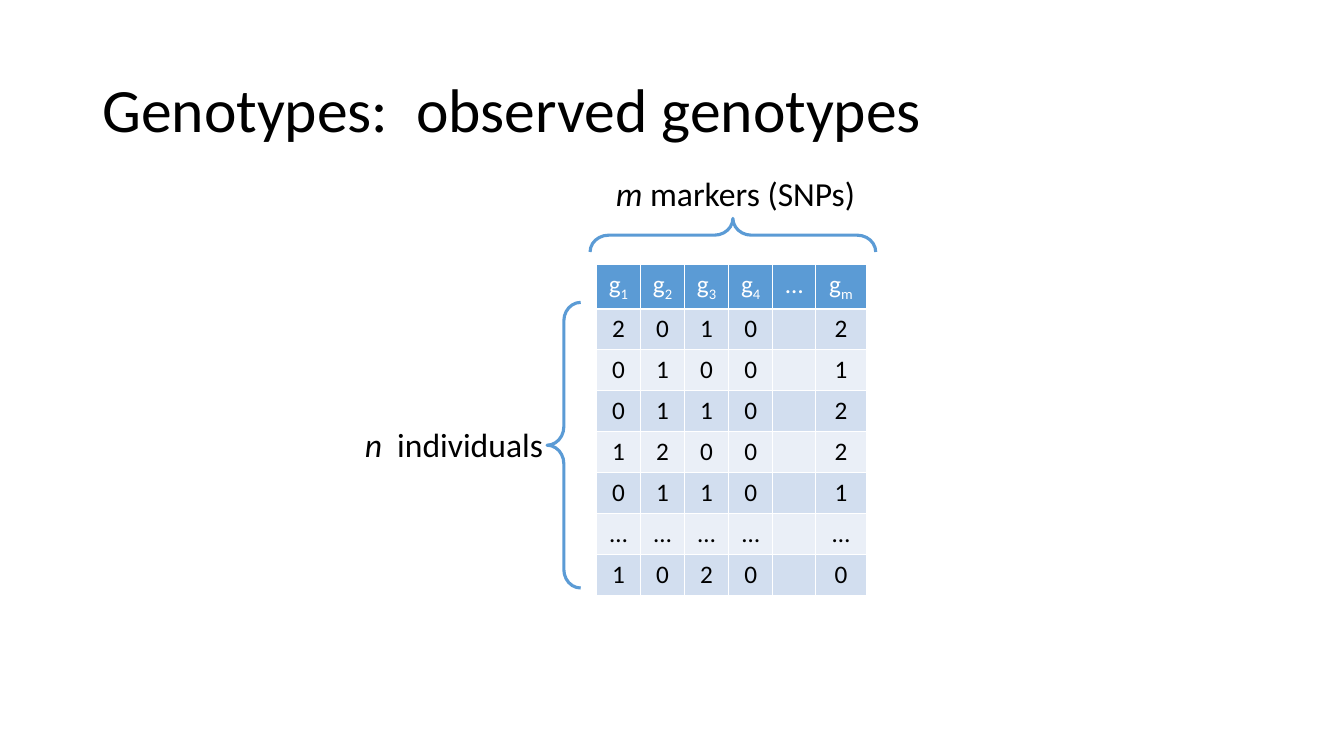
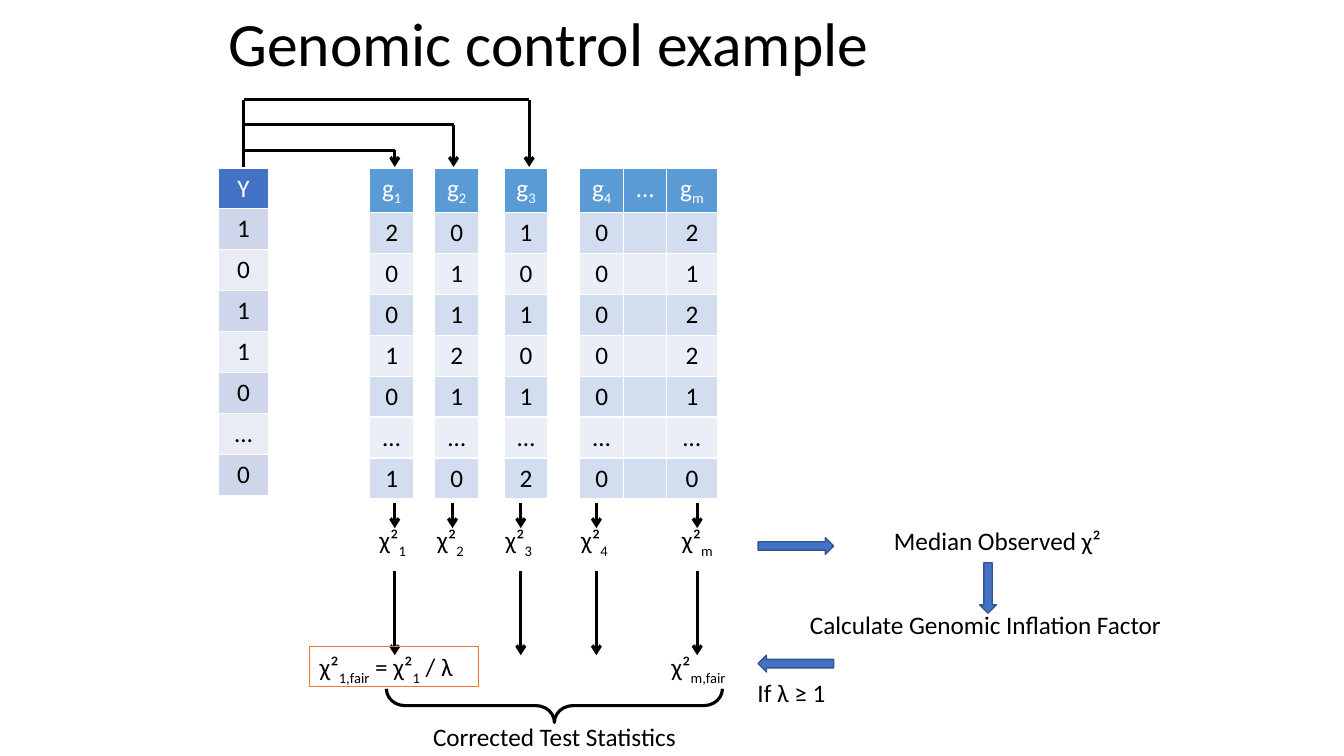
"""Build two slides on genotype tables and genomic control."""
from lxml.etree import SubElement
from pptx import Presentation
from pptx.dml.color import RGBColor
from pptx.enum.shapes import MSO_CONNECTOR as LINK, MSO_SHAPE as SHAPE
from pptx.enum.text import MSO_ANCHOR as ANCHOR, MSO_AUTO_SIZE as FIT, PP_ALIGN as ALIGN
from pptx.oxml.ns import qn
from pptx.util import Pt

PX = 9525
FONT = "Calibri"
BLACK, WHITE = "000000", "FFFFFF"
SKY, BLUE, NAVY, ORANGE = "5B9BD5", "4472C4", "325491", "ED7D31"
SKY_BANDS = (SKY, "D2DEEF", "EAEFF7")
BLUE_BANDS = (BLUE, "CFD5EA", "E9EBF5")
ROW = 39
color = RGBColor.from_string


def write(frame, text, size=18, ink=BLACK, align=ALIGN.LEFT, slant=False):
    """Fill a frame; every second part between bars is a subscript or slanted."""
    para = frame.paragraphs[0]
    para.alignment = align
    for i, part in enumerate(text.split("|")):
        if not part:
            continue
        run = para.add_run()
        run.text = part
        font = run.font
        font.name, font.size, font.bold = FONT, Pt(size), False
        font.color.rgb = color(ink)
        if i % 2 and slant:
            font.italic = True
        elif i % 2:
            run._r.get_or_add_rPr().set("baseline", "-25000")


def label(page, area, text, **look):
    """Add a text box that fits its single line."""
    box = page.shapes.add_textbox(*[n * PX for n in area])
    frame = box.text_frame
    frame.word_wrap = False
    frame.auto_size = FIT.SHAPE_TO_FIT_TEXT
    write(frame, text, **look)
    return box


deck = Presentation()
deck.slide_width, deck.slide_height = 1280 * PX, 720 * PX
first, second = [deck.slides.add_slide(deck.slide_layouts[6]) for _ in range(2)]

titles = [
    (first, (88, 38, 1104, 139), "Genotypes:  observed genotypes"),
    (second, (208, 0, 864, 88), "Genomic control example"),
]
for page, area, text in titles:
    frame = label(page, area, text, size=44).text_frame
    frame.word_wrap = True
    frame.auto_size = FIT.NONE
    frame.vertical_anchor = ANCHOR.MIDDLE
    frame.paragraphs[0].line_spacing = 0.9

trait = [("Y", "10110…0", 48)]
genes = [
    ("g|1", "20010…1", 42),
    ("g|2", "01121…0", 42),
    ("g|3", "10101…2", 42),
    ("g|4", "00000…0", 42),
    ("…", [""] * 7, 41),
    ("g|m", "21221…0", 48),
]
tables = [
    (first, 568, 252, genes, SKY_BANDS),
    (second, 208, 160, trait, BLUE_BANDS),
    (second, 352, 160, genes[:1], SKY_BANDS),
    (second, 414, 160, genes[1:2], SKY_BANDS),
    (second, 480, 160, genes[2:3], SKY_BANDS),
    (second, 552, 160, genes[3:], SKY_BANDS),
]
for page, x, y, cols, (top, odd, even) in tables:
    wide = sum(col[2] for col in cols)
    area = [n * PX for n in (x, y, wide, 8 * ROW)]
    table = page.shapes.add_table(8, len(cols), *area).table
    for c, (head, marks, width) in enumerate(cols):
        table.columns[c].width = width * PX
        for r, text in enumerate([head, *marks]):
            table.rows[r].height = ROW * PX
            cell = table.cell(r, c)
            cell.fill.solid()
            cell.fill.fore_color.rgb = color(top if r == 0 else odd if r % 2 else even)
            ink = BLACK if r else WHITE
            write(cell.text_frame, text, ink=ink, align=ALIGN.CENTER)

braces = [
    (first, (521, 288, 32, 272), 0, SKY),
    (first, (682, 88, 32, 272), 90, SKY),
    (second, (512, 512, 32, 320), 270, BLACK),
]
for page, area, turn, ink in braces:
    brace = page.shapes.add_shape(SHAPE.LEFT_BRACE, *[n * PX for n in area])
    brace.shadow.inherit = False
    brace.rotation = turn
    brace.adjustments[0] = 0.55
    brace.fill.background()
    brace.line.color.rgb = color(ink)
    brace.line.width = Pt(2.25)

label(first, (338, 399, 191, 48), "|n|  individuals", size=24, slant=True)
label(first, (576, 160, 249, 48), "|m| markers (SNPs)", size=24, align=ALIGN.CENTER, slant=True)

lines = [(232, 95, 232, 159, False)]
for x, y in [(376, 143), (432, 119), (504, 95)]:
    lines += [(232, y, x, y, False), (x, y, x, 159, True)]
for x, name, width in [(376, "1", 49), (431, "2", 49), (496, "3", 49), (568, "4", 49), (664, "m", 54)]:
    lines.append((x, 479, x, 503, True))
    if name != "2":
        lines.append((x, 544, x, 624, True))
    label(second, (x - 24, 495, width, 38), f"χ²|{name}")
for *ends, tip in lines:
    link = second.shapes.add_connector(LINK.STRAIGHT, *[n * PX for n in ends])
    link.line.color.rgb = color(BLACK)
    link.line.width = Pt(2.25)
    props = link._element.spPr
    if tip:
        SubElement(props.find(qn("a:ln")), qn("a:tailEnd"), type="arrow")
    SubElement(props, qn("a:effectLst"))

for area, turn in [((722, 512, 72, 16), 0), ((917, 552, 48, 16), 90), ((722, 624, 72, 16), 180)]:
    arrow = second.shapes.add_shape(SHAPE.RIGHT_ARROW, *[n * PX for n in area])
    arrow.shadow.inherit = False
    arrow.rotation = turn
    arrow.fill.solid()
    arrow.fill.fore_color.rgb = color(BLUE)
    arrow.line.color.rgb = color(NAVY)
    arrow.line.width = Pt(1)

notes = [
    ((842, 496, 222, 38), "Median Observed χ²"),
    ((762, 576, 358, 38), "Calculate Genomic Inflation Factor"),
    ((712, 640, 87, 38), "If λ ≥ 1"),
    ((630, 616, 80, 38), "χ²|m,fair"),
    ((403, 682, 253, 38), "Corrected Test Statistics"),
]
for area, text in notes:
    label(second, area, text)
fair = label(second, (295, 616, 161, 38), "χ²|1,fair| = χ²|1| / λ")
fair.line.color.rgb = color(ORANGE)
fair.line.width = Pt(0.75)

deck.save("out.pptx")
